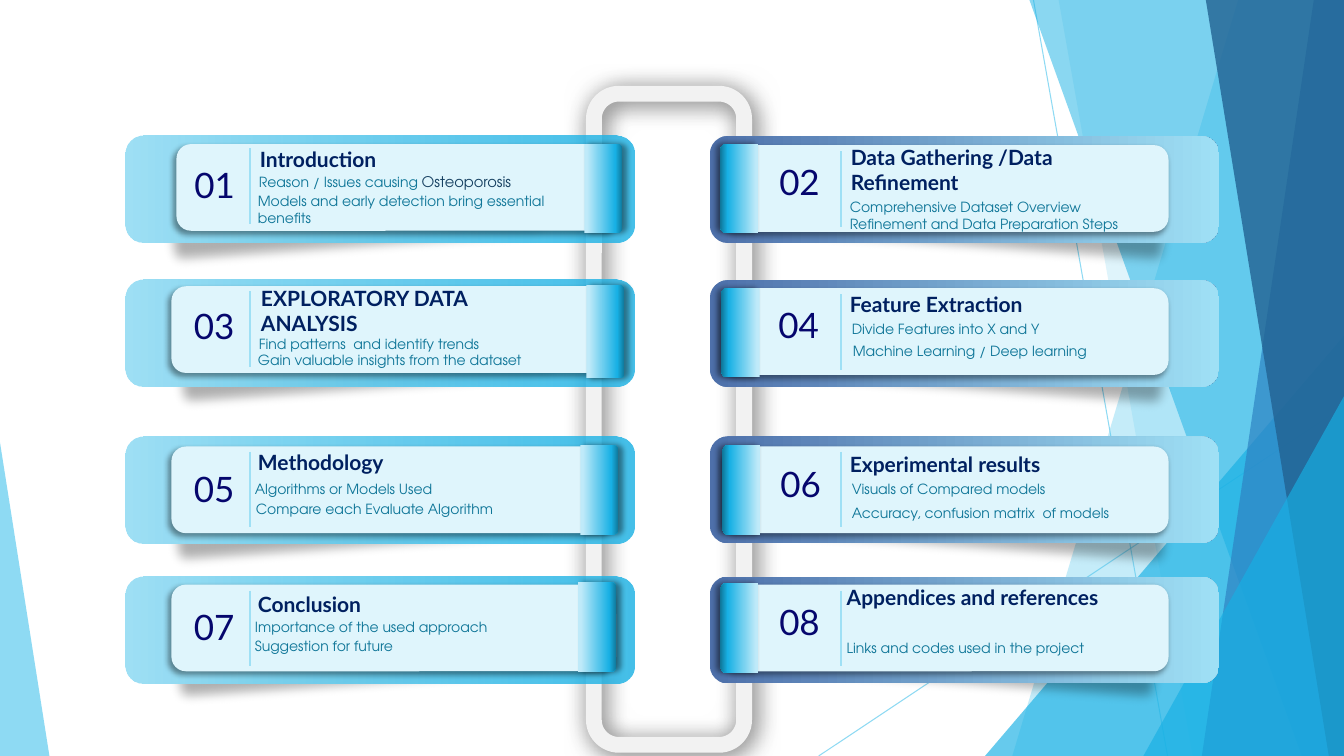
from lxml import etree
from pptx import Presentation
from pptx import util as u
from pptx.dml.color import RGBColor
from pptx.enum import shapes, text
from pptx.oxml.ns import qn

PX = 9144  # EMU in one px, 100 px to the inch
KIND = shapes.MSO_SHAPE
COLORS = {
    "sky": "5FCBEF", "cyan": "17B0E4", "blue": "2E83C3", "navy": "226292",
    "black": "000000", "frame": "F2F2F2", "smoke": "3B3B3B", "pale": "9FE0F5",
    "indigo": "4E70AA", "panel": "DFF5FC", "mist": "BFEAF9", "teal": "0F7698",
    "number": "05066D", "heading": "002060", "term": "174162",
}
HEADING_FONT, DETAIL_FONT = "Lato", "TeX Gyre Adventor"
CARD_LEFT, CARD_RIGHT = 124, 704
LEFT_CARD = [(0, "pale", 100), (100, "cyan", 80)]
RIGHT_CARD = [(0, "indigo", 100), (100, "pale", 100)]
TAB = [(7, "mist", 100), (81, "cyan", 100), (100, "teal", 100)]

# Each topic: number and its place, card, panel, tab (with length), rule top,
# place of the soft shade, heading box and detail boxes (x, y, w, h, words)
TOPICS = [
    ("01", (173, 157), (CARD_LEFT, 135), (175, 143), (554, 168, 89), 147, (153, 187),
     (248, 140, 280, 35, "Introduction"),
     [(247, 167, 307, 29, "Reason / Issues causing |Osteoporosis"),
      (246, 186, 307, 44, "Models and early detection bring essential benefits")]),
    ("02", (753, 154), (CARD_RIGHT, 135), (718, 144), (689, 168, 89), 150, (767, 187),
     (834, 138, 280, 61, "Data Gathering /Data Refinement"),
     [(833, 192, 307, 28, "Comprehensive Dataset Overview"),
      (833, 209, 307, 27, "Refinement and Data Preparation Steps")]),
    ("03", (171, 297), (CARD_LEFT, 277), (170, 284), (554, 310, 93), 289, (161, 328),
     (249, 278, 321, 61, "EXPLORATORY DATA ANALYSIS"),
     [(247, 328, 307, 27, "Find patterns  and identify trends"),
      (246, 344, 307, 27, "Gain valuable insights from the dataset")]),
    ("04", (752, 296), (CARD_RIGHT, 278), (718, 286), (690, 311, 89), 292, (766, 329),
     (833, 284, 280, 35, "Feature Extraction"),
     [(835, 313, 336, 27, "Divide Features into X and Y"),
      (836, 335, 377, 27, "Machine Learning / Deep learning")]),
    ("05", (171, 459), (CARD_LEFT, 433), (170, 443), (550, 467, 89), 448, (156, 485),
     (246, 441, 321, 35, "Methodology"),
     [(243, 472, 307, 27, "Algorithms or Models Used"),
      (244, 492, 307, 27, "Compare each Evaluate Algorithm")]),
    ("06", (754, 454), (CARD_RIGHT, 433), (718, 443), (691, 467, 89), 448, (768, 486),
     (833, 443, 280, 35, "Experimental results"),
     [(835, 472, 336, 27, "Visuals of Compared models"),
      (835, 496, 336, 27, "Accuracy, confusion matrix  of models")]),
    ("07", (171, 596), (CARD_LEFT, 572), (170, 580), (548, 603, 89), 586, (158, 621),
     (246, 582, 321, 35, "Conclusion"),
     [(243, 609, 307, 27, "Importance of the used approach"),
      (243, 628, 307, 27, "Suggestion for future")]),
    ("08", (753, 591), (CARD_RIGHT, 572), (718, 580), (689, 604, 89), 586, (758, 621),
     (830, 575, 317, 61, "Appendices and references"),
     [(830, 630, 336, 27, "Links and codes used in the project")]),
]


def rgb(name):
    return RGBColor.from_string(COLORS[name])


def add_color(parent, name, alpha):
    color = etree.SubElement(parent, qn("a:srgbClr"), val=COLORS[name])
    if alpha < 100:
        etree.SubElement(color, qn("a:alpha"), val=str(alpha * 1000))


def fill_solid(shape, name, alpha=100):
    shape.fill.solid()
    shape.fill.fore_color.rgb = rgb(name)
    solid = shape.element.spPr.find(qn("a:solidFill"))
    solid.clear()
    add_color(solid, name, alpha)


def fill_gradient(shape, stops, angle=0):
    shape.fill.gradient()
    shape.fill.gradient_angle = angle
    stop_list = shape.element.spPr.find(qn("a:gradFill")).find(qn("a:gsLst"))
    stop_list.clear()
    for position, name, alpha in stops:
        stop = etree.SubElement(stop_list, qn("a:gs"), pos=str(position * 1000))
        add_color(stop, name, alpha)


def add_effect(shape, tag, **values):
    effects = shape.element.spPr.find(qn("a:effectLst"))
    return etree.SubElement(effects, qn(tag), {key: str(value) for key, value in values.items()})


def cast_shadow(shape, name, alpha, blur, distance, direction):
    shadow = add_effect(shape, "a:outerShdw", blurRad=u.Pt(blur), dist=u.Pt(distance),
                        dir=direction * 60000, algn="ctr", rotWithShape=0)
    add_color(shadow, name, alpha)


def add_block(page, kind, x, y, width, height, rotation=0):
    shape = page.shapes.add_shape(kind, x * PX, y * PX, width * PX, height * PX)
    shape.shadow.inherit = False
    shape.line.fill.background()
    shape.rotation = rotation
    return shape


def add_line(page, start, end, name, width, alpha=100):
    line = page.shapes.add_connector(shapes.MSO_CONNECTOR.STRAIGHT,
                                     *[value * PX for value in (*start, *end)])
    line.line.width = u.Pt(width)
    line.line.color.rgb = rgb(name)
    solid = line.element.spPr.find(qn("a:ln")).find(qn("a:solidFill"))
    solid.clear()
    add_color(solid, name, alpha)
    etree.SubElement(line.element.spPr, qn("a:effectLst"))


def add_facet(page, points, name, alpha):
    builder = page.shapes.build_freeform(*points[0], scale=PX)
    builder.add_line_segments(points[1:], close=True)
    facet = builder.convert_to_shape()
    facet.shadow.inherit = False
    facet.line.fill.background()
    fill_solid(facet, name, alpha)


def add_triangle(page, x, y, width, height, apex, name, alpha):
    triangle = add_block(page, KIND.ISOSCELES_TRIANGLE, x, y, width, height)
    triangle.adjustments[0] = apex
    fill_solid(triangle, name, alpha)


def add_words(page, x, y, width, height, words, font, size, name, bold=False, centred=False):
    """Add a text box; a part after a bar is set as a highlighted term."""
    box = page.shapes.add_textbox(x * PX, y * PX, width * PX, height * PX)
    box.text_frame.word_wrap = True
    box.text_frame.auto_size = text.MSO_AUTO_SIZE.SHAPE_TO_FIT_TEXT
    para = box.text_frame.paragraphs[0]
    para.font.name, para.font.size, para.font.bold = font, u.Pt(size), bold
    para.font.color.rgb = rgb(name)
    if centred:
        para.alignment = text.PP_ALIGN.CENTER
    for index, part in enumerate(words.split("|")):
        span = para.add_run()
        span.text = part
        if index:
            span.font.size = u.Pt(10.5)
            span.font.color.rgb = rgb("term")


def add_backdrop(page):
    add_line(page, (1025, 0), (1158, 750), "sky", 0.75, 70)
    add_line(page, (1333, 403), (812, 750), "sky", 0.75, 70)
    right = [(1333, 0), (1333, 750)]
    add_facet(page, [(1228, 0), *right, (1004, 750)], "sky", 36)
    add_facet(page, [(1050, 0), *right, (1183, 750)], "sky", 20)
    add_triangle(page, 977, 333, 356, 417, 1, "cyan", 66)
    add_facet(page, [(1021, 0), *right, (1291, 750)], "cyan", 50)
    add_facet(page, [(1303, 0), *right, (1192, 750)], "blue", 70)
    add_facet(page, [(1196, 0), *right, (1318, 750)], "navy", 80)
    add_triangle(page, 1134, 393, 199, 357, 1, "cyan", 66)
    add_triangle(page, 0, 439, 49, 311, 0, "sky", 70)


def add_shade(page, on_left, x, y):
    shade = add_block(page, KIND.RECTANGLE, x, y, 406, 76, 355.9 if on_left else 4.1)
    fill_solid(shade, "black", 32)
    add_effect(shade, "a:softEdge", rad=u.Pt(10))


def add_frame(page):
    frame = add_block(page, KIND.ROUNDED_RECTANGLE, 589, 93, 149, 646)
    frame.fill.background()
    frame.line.color.rgb = rgb("frame")
    frame.line.width = u.Pt(11.25)
    cast_shadow(frame, "smoke", 79, 18, 3, 45)


def add_topic(page, number, number_at, card_at, panel_at, tab_at, rule_top, heading, details):
    on_left = card_at[0] == CARD_LEFT
    # Card, panel and tab
    card = add_block(page, KIND.ROUNDED_RECTANGLE, *card_at, 505, 106)
    fill_gradient(card, LEFT_CARD if on_left else RIGHT_CARD)
    panel = add_block(page, KIND.ROUNDED_RECTANGLE, *panel_at, 441, 86)
    fill_solid(panel, "panel")
    cast_shadow(panel, "black", 40, 4, 3, 135)
    tab = add_block(page, KIND.ROUND_2_SAME_RECTANGLE, *tab_at, 38, 90 if on_left else 270)
    fill_gradient(tab, TAB, 90)
    cast_shadow(tab, "black", 40, 4, 3, 0 if on_left else 180)
    # Rule and words
    rule_x = 248 if on_left else 834
    add_line(page, (rule_x, rule_top), (rule_x, rule_top + 75), "pale", 1)
    add_words(page, *number_at, 80 if number == "01" or not on_left else 83, 52, number,
              HEADING_FONT, 25, "number", centred=True)
    add_words(page, *heading, HEADING_FONT, 15, "heading", bold=True)
    for detail in details:
        add_words(page, *detail, DETAIL_FONT, 10, "teal")


def main():
    deck = Presentation()
    deck.slide_width, deck.slide_height = 1333 * PX, 750 * PX
    page = deck.slides.add_slide(deck.slide_layouts[6])
    add_backdrop(page)
    for _, _, card_at, _, _, _, shade_at, _, _ in TOPICS:
        add_shade(page, card_at[0] == CARD_LEFT, *shade_at)
    add_frame(page)
    for *places, _, heading, details in TOPICS:
        add_topic(page, *places, heading, details)
    deck.save("out.pptx")


if __name__ == "__main__":
    main()
